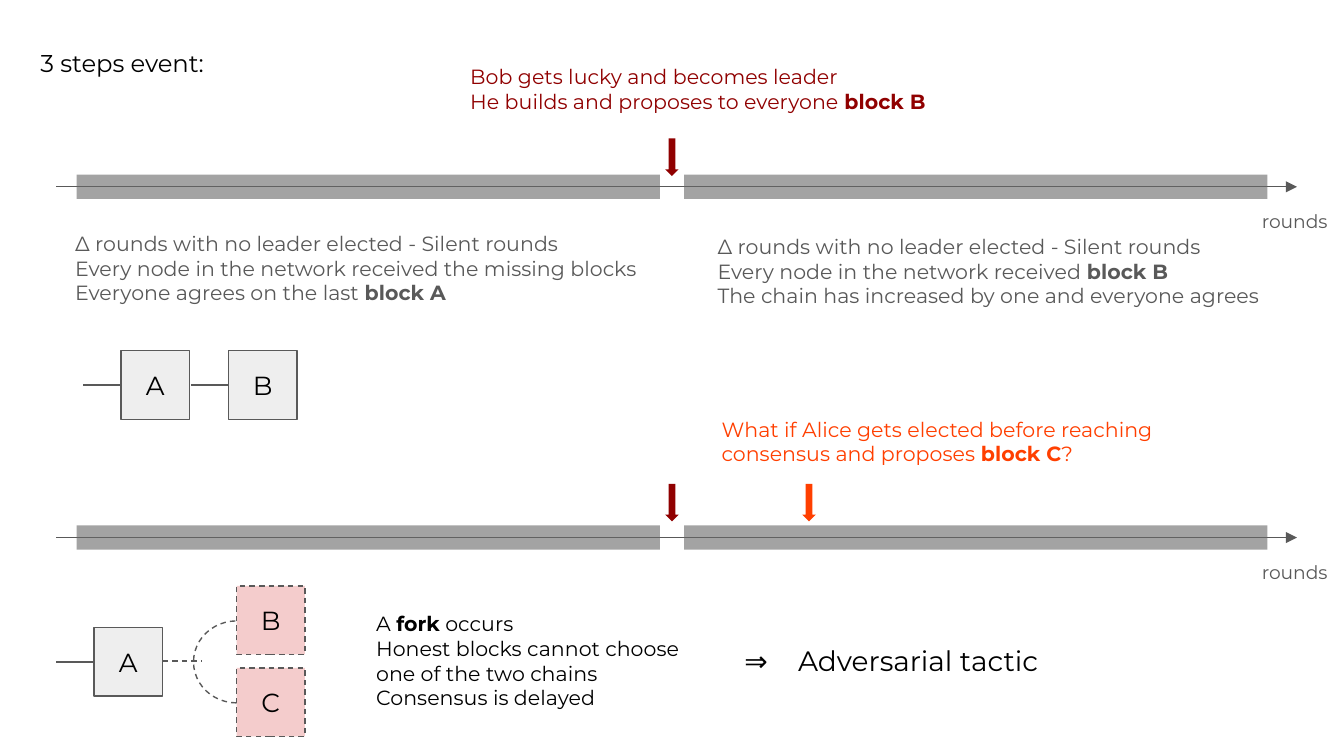
from lxml.etree import SubElement
from pptx import Presentation
from pptx.dml.color import RGBColor
from pptx.enum.dml import MSO_LINE
from pptx.enum.shapes import MSO_CONNECTOR, MSO_SHAPE
from pptx.enum.text import MSO_ANCHOR, MSO_AUTO_SIZE, PP_ALIGN
from pptx.oxml.ns import qn
from pptx.util import Inches, Pt

FONT = "Montserrat"
BLACK, GRAY, BAR = "000000", "595959", "676767"
RED, ORANGE = "900000", "FF3F00"
SOLID_FILL, FORK_FILL = "EEEEEE", "F4CCCC"

BLOCK = 0.51
LINK = 0.28
AXIS_LEFT, AXIS_RIGHT = 0.42, 9.65
BAR_LEFTS, BAR_WIDTH, BAR_HEIGHT = (0.57, 5.09), 4.34, 0.18
TOP_AXIS, BOTTOM_AXIS = 1.39, 4.0
BOB_X, ALICE_X = 4.95, 5.97


def color(value):
    return RGBColor.from_string(value)


def apply(target, values):
    for name, value in values.items():
        setattr(target, name, value)


def write(frame, text, size, text_color, align=PP_ALIGN.LEFT, anchor=MSO_ANCHOR.TOP):
    """Fill a frame with text; ** toggles bold and a newline breaks the line."""
    margins = {f"margin_{side}": Inches(0.1) for side in ("left", "top", "right", "bottom")}
    apply(frame, {"word_wrap": True, "vertical_anchor": anchor, **margins})
    paragraph = frame.paragraphs[0]
    paragraph.alignment = align
    for part_index, part in enumerate(text.split("**")):
        for line_index, line in enumerate(part.split("\n")):
            if line_index:
                paragraph.add_line_break()
            if line:
                run = paragraph.add_run()
                run.text = line
                apply(run.font, {"name": FONT, "size": Pt(size), "bold": part_index % 2 == 1})
                run.font.color.rgb = color(text_color)
    return paragraph


def add_text(slide, box, text, size=11, text_color=GRAY):
    frame = slide.shapes.add_textbox(*map(Inches, box)).text_frame
    paragraph = write(frame, text, size, text_color)
    frame.auto_size = MSO_AUTO_SIZE.SHAPE_TO_FIT_TEXT
    return paragraph


def add_tab_stop(paragraph, position):
    stops = SubElement(paragraph._p.get_or_add_pPr(), qn("a:tabLst"))
    SubElement(stops, qn("a:tab"), pos=str(Inches(position)), algn="l")


def style_line(line, dashed=False):
    line.color.rgb = color(GRAY)
    line.width = Pt(0.75)
    if dashed:
        line.dash_style = MSO_LINE.DASH


def add_shape(slide, kind, box, fill=None, outlined=False, dashed=False):
    shape = slide.shapes.add_shape(kind, *map(Inches, box))
    shape.shadow.inherit = False
    if fill:
        shape.fill.solid()
        shape.fill.fore_color.rgb = color(fill)
    else:
        shape.fill.background()
    if outlined:
        style_line(shape.line, dashed)
    else:
        shape.line.fill.background()
    return shape


def add_line(slide, left, right, y, dashed=False, arrow=False):
    connector = slide.shapes.add_connector(
        MSO_CONNECTOR.STRAIGHT, *map(Inches, (left, y, right, y)))
    style_line(connector.line, dashed)
    if arrow:
        SubElement(connector.line._get_or_add_ln(), qn("a:tailEnd"), type="triangle")
    SubElement(connector._element.spPr, qn("a:effectLst"))


def add_block(slide, left, top, letter, forked=False):
    """Add a block; one that is not forked is linked to what comes before it."""
    shape = add_shape(slide, MSO_SHAPE.RECTANGLE, (left, top, BLOCK, BLOCK),
                      FORK_FILL if forked else SOLID_FILL, True, forked)
    write(shape.text_frame, letter, 14, BLACK, PP_ALIGN.CENTER, MSO_ANCHOR.MIDDLE)
    if not forked:
        add_line(slide, left - LINK, left, top + BLOCK / 2)


def add_event_arrow(slide, left, top, fill):
    add_shape(slide, MSO_SHAPE.DOWN_ARROW, (left, top, 0.1, 0.28), fill)


def add_timeline(slide, axis):
    add_line(slide, AXIS_LEFT, AXIS_RIGHT, axis, arrow=True)
    for left in BAR_LEFTS:
        bar = add_shape(slide, MSO_SHAPE.RECTANGLE,
                        (left, axis - BAR_HEIGHT / 2, BAR_WIDTH, BAR_HEIGHT), BAR)
        fill_color = bar._element.spPr.find(".//" + qn("a:srgbClr"))
        SubElement(fill_color, qn("a:alpha"), val="60000")
    add_text(slide, (9.29, axis + 0.09, 0.71, 0.37), "rounds", 10)


def add_title(slide, text):
    title = slide.shapes.title
    box = map(Inches, (0.2, 0.26, 1.71, 0.42))
    apply(title, dict(zip(("left", "top", "width", "height"), box)))
    write(title.text_frame, text, 13, BLACK)
    title.text_frame.auto_size = MSO_AUTO_SIZE.NONE


def add_fork(slide):
    add_block(slide, 0.7, 4.67, "A")
    add_line(slide, 1.21, 1.5, 4.92, dashed=True)
    for top, letter in ((4.36, "B"), (4.97, "C")):
        add_block(slide, 1.76, top, letter, forked=True)
    arc = add_shape(slide, MSO_SHAPE.ARC, (1.44, 4.62, 0.64, 0.61), None, True, True)
    # Angles are in 60000ths of a degree, scaled down by 100000
    for index, degrees in enumerate((90, 270)):
        arc.adjustments[index] = degrees * 0.6


def main():
    presentation = Presentation()
    apply(presentation, {"slide_width": Inches(10), "slide_height": Inches(5.625)})
    slide = presentation.slides.add_slide(presentation.slide_layouts[5])
    add_title(slide, "3 steps event:")

    add_timeline(slide, TOP_AXIS)
    add_event_arrow(slide, BOB_X, 1.03, RED)
    add_text(slide, (3.4, 0.38, 4.49, 0.57),
             "Bob gets lucky and becomes leader\n"
             "He builds and proposes to everyone **block B**", text_color=RED)
    add_text(slide, (0.46, 1.62, 4.49, 0.76),
             "Δ rounds with no leader elected - Silent rounds\n"
             "Every node in the network received the missing blocks\n"
             "Everyone agrees on the last **block A**")
    add_text(slide, (5.24, 1.64, 4.49, 0.76),
             "Δ rounds with no leader elected - Silent rounds\n"
             "Every node in the network received **block B**\n"
             "The chain has increased by one and everyone agrees")
    for left, letter in ((0.9, "A"), (1.7, "B")):
        add_block(slide, left, 2.61, letter)

    add_timeline(slide, BOTTOM_AXIS)
    add_event_arrow(slide, BOB_X, 3.6, RED)
    add_event_arrow(slide, ALICE_X, 3.6, ORANGE)
    add_text(slide, (5.27, 3, 3.61, 0.57),
             "What if Alice gets elected before reaching consensus and proposes "
             "**block C**?", text_color=ORANGE)
    add_fork(slide)
    add_text(slide, (2.7, 4.45, 2.71, 0.94),
             "A **fork** occurs\n"
             "Honest blocks cannot choose one of the two chains\n"
             "Consensus is delayed", text_color=BLACK)
    tactic = add_text(slide, (5.44, 4.69, 2.93, 0.45), "⇒\tAdversarial tactic", 15, BLACK)
    add_tab_stop(tactic, 0.4)

    presentation.save("out.pptx")


if __name__ == "__main__":
    main()
